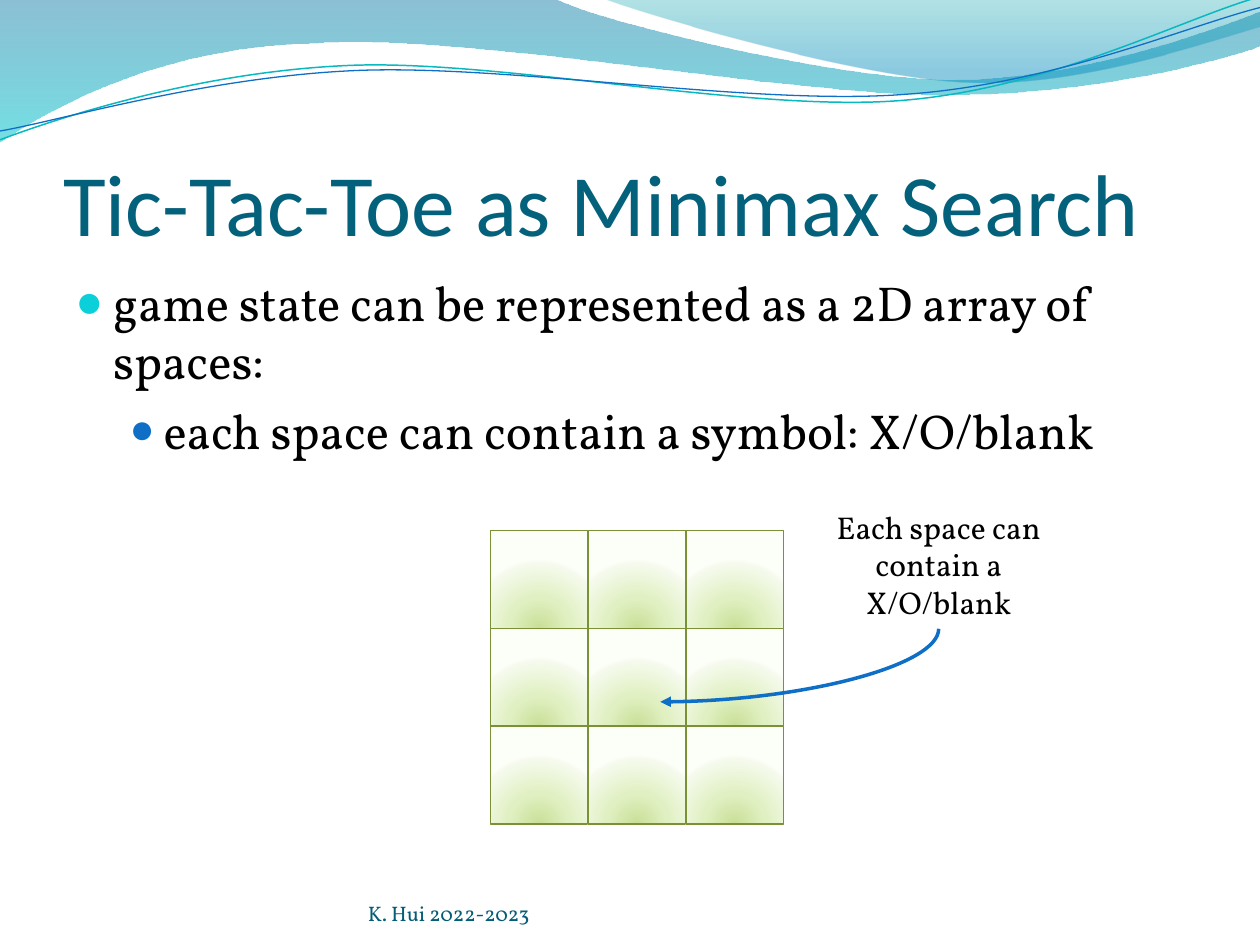
import itertools

import lxml.etree
import pptx
import pptx.dml.color
import pptx.enum.shapes
import pptx.enum.text
import pptx.oxml
import pptx.oxml.ns
import pptx.util

Inches, Pt = pptx.util.Inches, pptx.util.Pt
qn = pptx.oxml.ns.qn
SERIF = "Vollkorn"

# Each wave: start point, then points (lines) or triples of points (curves).
LONG_WAVE = [(0, 0), [(4.4, -0.01)],
             [(4.76, 0.17), (6.64, 0.63), (7.58, 0.63)],
             [(8.53, 0.63), (9.58, 0.26), (10, 0.09)], [(10.01, 0.36)],
             [(9.83, 0.44), (8.7, 0.76), (7.46, 0.75)],
             [(6.22, 0.75), (3.82, 0.28), (2.57, 0.34)],
             [(1.29, 0.36), (0.46, 0.83), (-0.01, 1.13)], [(0, 0)]]
RIGHT_WAVE = [(4.79, -0.01),
              [(5.09, 0.11), (6.82, 0.62), (7.69, 0.65)],
              [(8.56, 0.69), (9.61, 0.32), (10, 0.21)], [(10, 0)], [(4.79, -0.01)]]
TEAL_LINE = [(0, 1.11),
             [(0.48, 0.93), (1.58, 0.57), (2.77, 0.52)],
             [(3.95, 0.47), (5.93, 0.89), (7.13, 0.8)],
             [(8.33, 0.71), (9.38, 0.15), (9.98, -0.02)]]
BLUE_LINE = [(0, 1.04),
             [(0.47, 0.96), (1.64, 0.61), (2.83, 0.56)],
             [(4.03, 0.51), (5.97, 0.84), (7.17, 0.75)],
             [(8.36, 0.67), (9.41, 0.21), (10, 0.06)]]
CELL_STOPS = [(0, "C9DF97", 100), (43, "E0F0C1", 100),
              (93, "F5FAEC", 100), (100, "FCFEF8", 100)]


def color(value):
    """Turn a hex string into a colour."""
    return pptx.dml.color.RGBColor.from_string(value)


def add_node(parent, tag, **attributes):
    """Append a drawing element and return it."""
    node = lxml.etree.SubElement(parent, qn(tag))
    for name, value in attributes.items():
        node.set(name, str(value))
    return node


def set_gradient(shape, stops, glow=False):
    """Fill with (position, colour, opacity) stops, downward or as a glow from below."""
    shape.fill.gradient()
    gradient = shape._element.spPr.find(qn("a:gradFill"))
    for child in list(gradient):
        gradient.remove(child)
    stop_list = add_node(gradient, "a:gsLst")
    for position, value, opacity in stops:
        stop = add_node(stop_list, "a:gs", pos=position * 1000)
        paint = add_node(stop, "a:srgbClr", val=value)
        if opacity < 100:
            add_node(paint, "a:alpha", val=opacity * 1000)
    if glow:
        circle = add_node(gradient, "a:path", path="circle")
        add_node(circle, "a:fillToRect", l=50000, t=130000, r=50000, b=-30000)
    else:
        add_node(gradient, "a:lin", ang=90 * 60000, scaled=0)


def set_line(shape, value, width):
    """Set the colour and width in points of a line."""
    shape.line.color.rgb = color(value)
    shape.line.width = Pt(width)


def add_wave(page, outline, closed):
    """Draw an outline of lines and cubic curves."""
    start, *segments = outline
    builder = page.shapes.build_freeform(Inches(start[0]), Inches(start[1]))
    points = itertools.chain.from_iterable(segments)
    builder.add_line_segments([(Inches(x), Inches(y)) for x, y in points], close=closed)
    wave = builder.convert_to_shape()
    wave.shadow.inherit = False
    steps = iter(list(wave._element.iter(qn("a:lnTo"))))
    for segment in segments:
        group = list(itertools.islice(steps, len(segment)))
        if len(group) == 3:
            curve = lxml.etree.Element(qn("a:cubicBezTo"))
            group[0].addprevious(curve)
            for step in group:
                curve.append(step[0])
                step.getparent().remove(step)
    return wave


def add_band(page, outline, stops):
    """Add a wave with a gradient and no line."""
    band = add_wave(page, outline, True)
    set_gradient(band, stops)
    band.line.fill.background()


def add_wave_line(page, outline, value, width):
    """Add an unfilled wavy line."""
    wave = add_wave(page, outline, False)
    wave.fill.background()
    set_line(wave, value, width)


def style_paragraph(para, size, font, value, align=pptx.enum.text.PP_ALIGN.LEFT):
    """Set font and alignment of a paragraph."""
    para.alignment = align
    para.font.size, para.font.name = Pt(size), font
    para.font.color.rgb = color(value)


def add_text(page, place, text):
    """Add a wrapping text box and return it."""
    box = page.shapes.add_textbox(*map(Inches, place))
    box.text_frame.word_wrap = True
    box.text_frame.text = text
    return box


def set_bullet(para, margin, indent, value, percent):
    """Give a paragraph a coloured round bullet with a hanging indent."""
    properties = para._p.get_or_add_pPr()
    properties.set("marL", str(Inches(margin)))
    properties.set("indent", str(Inches(indent)))
    para.space_before = Pt(6)
    add_node(add_node(properties, "a:buClr"), "a:srgbClr", val=value)
    add_node(properties, "a:buSzPct", val=percent * 1000)
    add_node(properties, "a:buFont", typeface="Arial")
    add_node(properties, "a:buChar", char="●")


def add_title(page, text):
    """Place and format the title."""
    title = page.shapes.title
    title.left, title.top, title.width, title.height = map(Inches, (0.5, 0.77, 9, 1.25))
    frame = title.text_frame
    frame.text = text
    frame.margin_left = frame.margin_right = frame.margin_bottom = 0
    frame.margin_top = Inches(0.05)
    frame.vertical_anchor = pptx.enum.text.MSO_ANCHOR.BOTTOM
    frame.auto_size = pptx.enum.text.MSO_AUTO_SIZE.NONE
    style_paragraph(frame.paragraphs[0], 50, "Calibri", "04617B")


def add_bullets(page):
    """Add the two levels of bullet text."""
    box = add_text(page, (0.5, 2.11, 9, 1.84),
                   "game state can be represented as a 2D array of spaces:\n"
                   "each space can contain a symbol: X/O/blank")
    bullets = [(0.3, -0.3, "0BD0D9", 95), (0.7, -0.27, "0F6FC6", 85)]
    for level, (para, bullet) in enumerate(zip(box.text_frame.paragraphs, bullets)):
        para.level = level
        style_paragraph(para, 28, SERIF, "000000")
        set_bullet(para, *bullet)


def add_board(page, left, top, side):
    """Add the three by three board."""
    cell = side / 3
    for row, column in itertools.product(range(3), repeat=2):
        space = page.shapes.add_shape(
            pptx.enum.shapes.MSO_SHAPE.RECTANGLE, Inches(left + column * cell),
            Inches(top + row * cell), Inches(cell), Inches(cell))
        space.shadow.inherit = False
        set_gradient(space, CELL_STOPS, glow=True)
        set_line(space, "7B9135", 0.75)


def add_curved_arrow(page, start, end):
    """Add an arrow that leaves downward and arrives leftward."""
    across, down = start[0] - end[0], end[1] - start[1]
    left = (start[0] + end[0] - down) / 2
    top = (start[1] + end[1] - across) / 2
    arrow = page.shapes.add_connector(
        pptx.enum.shapes.MSO_CONNECTOR.CURVE, Inches(left), Inches(top),
        Inches(left + down), Inches(top + across))
    set_line(arrow, "0F6FC6", 2)
    properties = arrow._element.spPr
    properties.find(qn("a:xfrm")).set("rot", str(90 * 60000))
    properties.find(qn("a:prstGeom")).set("prst", "curvedConnector2")
    add_node(properties.find(qn("a:ln")), "a:tailEnd", type="triangle")
    add_node(properties, "a:effectLst")


def main():
    """Build the slide and save it."""
    deck = pptx.Presentation()
    deck.slide_width, deck.slide_height = Inches(10), Inches(7.5)
    page = deck.slides.add_slide(deck.slide_layouts[5])
    add_band(page, LONG_WAVE, [(0, "0074A1", 45), (100, "00C6CF", 55)])
    add_band(page, RIGHT_WAVE, [(0, "00A1A9", 30), (80, "008BBF", 45)])
    add_wave_line(page, TEAL_LINE, "0AB8BF", 0.85)
    add_wave_line(page, BLUE_LINE, "0F6FC6", 0.75)
    add_title(page, "Tic-Tac-Toe as Minimax Search")
    add_bullets(page)
    footer = add_text(page, (2.92, 6.95, 3.67, 0.4), "K. Hui 2022-2023").text_frame
    footer.margin_left = footer.margin_right = footer.margin_top = footer.margin_bottom = 0
    footer.vertical_anchor = pptx.enum.text.MSO_ANCHOR.BOTTOM
    style_paragraph(footer.paragraphs[0], 12, SERIF, "045D75")
    add_board(page, 3.89, 4.21, 2.33)
    label = add_text(page, (6.41, 3.98, 2.08, 1.01), "Each space can contain a X/O/blank")
    style_paragraph(label.text_frame.paragraphs[0], 18, SERIF, "000000",
                    pptx.enum.text.PP_ALIGN.CENTER)
    add_curved_arrow(page, (7.45, 4.99), (5.24, 5.57))
    deck.save("out.pptx")


main()
